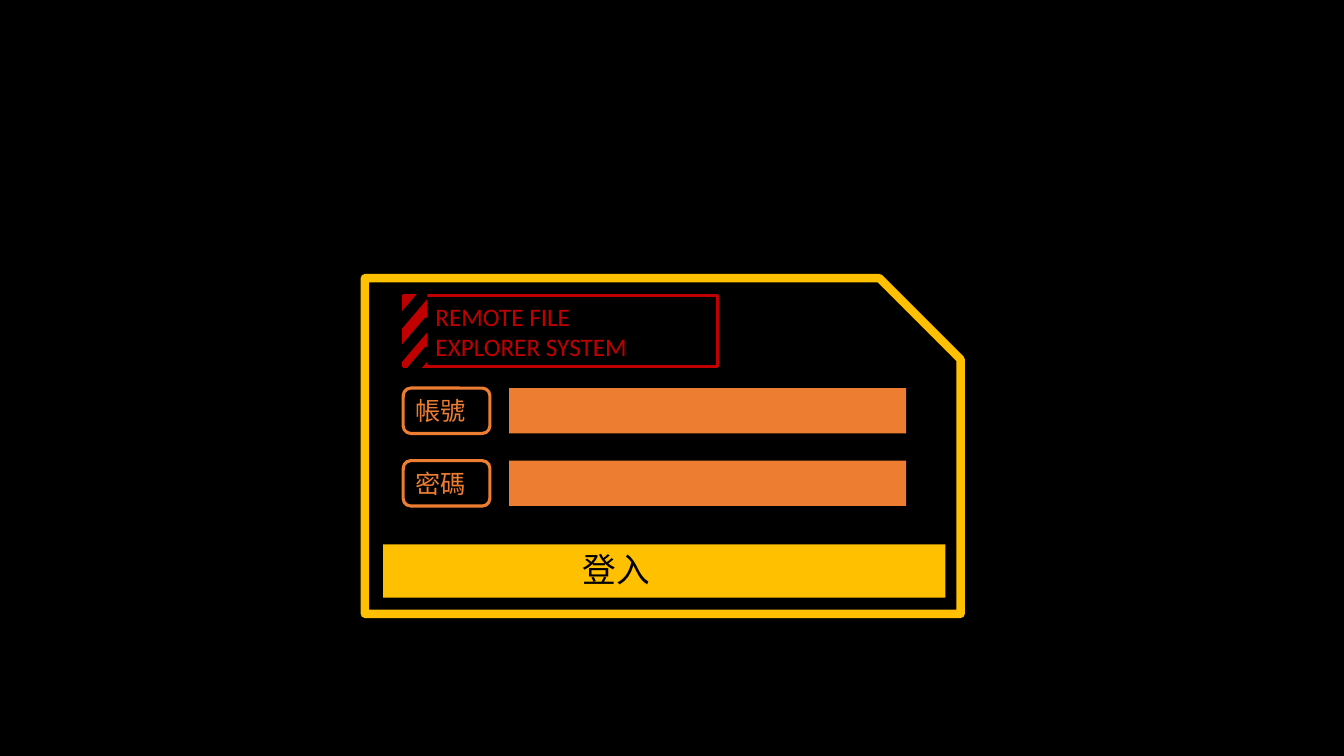
from dataclasses import dataclass

from pptx import Presentation, util as u
from pptx.dml.color import RGBColor
from pptx.enum import shapes, text


@dataclass(frozen=True)
class Theme:
    font: str = "Calibri"
    background: str = "000000"
    frame: str = "FFC000"
    field: str = "ED7D31"
    warning: str = "C00000"
    body_size: int = 18
    button_size: int = 24
    thin: float = 2.25
    thick: float = 6


THEME = Theme()
KIND = shapes.MSO_SHAPE
COLUMNS, ROWS = 133.33, 75  # grid of tenths of an inch


def write(shape, lines, size, color, anchor=text.MSO_ANCHOR.MIDDLE):
    """Fill a shape with one justified paragraph per line."""
    frame = shape.text_frame
    frame.word_wrap = True
    frame.auto_size = text.MSO_AUTO_SIZE.NONE
    frame.vertical_anchor = anchor
    for index, line in enumerate(lines):
        para = frame.paragraphs[0] if index == 0 else frame.add_paragraph()
        para.alignment = text.PP_ALIGN.JUSTIFY
        para.line_spacing = 1.0
        span = para.add_run()
        span.text = line
        span.font.name = THEME.font
        span.font.size = u.Pt(size)
        span.font.color.rgb = RGBColor.from_string(color)


class Panel:
    """Holds the theme and the current page, and draws on its grid."""

    def __init__(self, deck, theme):
        self.theme = theme
        self.cell_width = deck.slide_width / COLUMNS
        self.cell_height = deck.slide_height / ROWS
        self.page = deck.slides.add_slide(deck.slide_layouts[5])
        fill = self.page.background.fill
        fill.solid()
        fill.fore_color.rgb = RGBColor.from_string(theme.background)

    def place(self, column, row, columns, rows):
        return (round(column * self.cell_width), round(row * self.cell_height),
                round(columns * self.cell_width), round(rows * self.cell_height))

    def paint(self, shape, fill=None, line=None, weight=THEME.thin):
        if fill:
            shape.fill.solid()
            shape.fill.fore_color.rgb = RGBColor.from_string(fill)
        else:
            shape.fill.background()
        if line:
            shape.line.color.rgb = RGBColor.from_string(line)
            shape.line.width = u.Pt(weight)
        else:
            shape.line.fill.background()

    def shape(self, kind, area, adjust=(), **look):
        shape = self.page.shapes.add_shape(kind, *self.place(*area))
        shape.shadow.inherit = False
        for index, value in enumerate(adjust):
            shape.adjustments[index] = value
        self.paint(shape, **look)
        return shape

    def title(self, area, lines):
        box = self.page.shapes.title
        box.left, box.top, box.width, box.height = self.place(*area)
        self.paint(box, line=self.theme.warning)
        write(box, lines, self.theme.body_size, self.theme.warning)

    def stripe(self, area):
        color = self.theme.background
        stripe = self.shape(KIND.PARALLELOGRAM, area, [1.172], fill=color, line=color)
        stripe.rotation = 90
        stripe._element.spPr.xfrm.set("flipV", "1")

    def entry(self, row, label):
        color = self.theme.field
        tag = self.shape(KIND.ROUNDED_RECTANGLE, (40, row, 8.6, 4.5), line=color)
        write(tag, [label], self.theme.body_size, color)
        self.shape(KIND.RECTANGLE, (50.5, row, 39.4, 4.5), fill=color)

    def button(self, area, caption_area, caption):
        self.shape(KIND.RECTANGLE, area, fill=self.theme.frame)
        box = self.page.shapes.add_textbox(*self.place(*caption_area))
        write(box, [caption], self.theme.button_size, self.theme.background)


deck = Presentation()
deck.slide_width, deck.slide_height = u.Inches(13.33), u.Inches(7.5)
panel = Panel(deck, THEME)

# Heading with its hazard bar
panel.title((42.2, 29.3, 29, 7.1), ["REMOTE FILE", "EXPLORER SYSTEM"])
panel.shape(KIND.RECTANGLE, (40, 29.3, 2.2, 7.1),
            fill=THEME.warning, line=THEME.warning)
for row in (29.2, 32.5, 35.4):
    panel.stripe((38.6, row, 4.5, 2.8))

# Account and password entries
for index, label in enumerate(("帳號", "密碼")):
    panel.entry(38.5 + 7.2 * index, label)

# Login button
panel.button((38, 54, 55.8, 5.3), (56.8, 54, 17.9, 5), "登入")

# Outer frame
panel.shape(KIND.SNIP_ROUND_RECTANGLE, (36.2, 27.6, 59.1, 33.3), [0, 0.242],
            line=THEME.frame, weight=THEME.thick)

deck.save("out.pptx")
